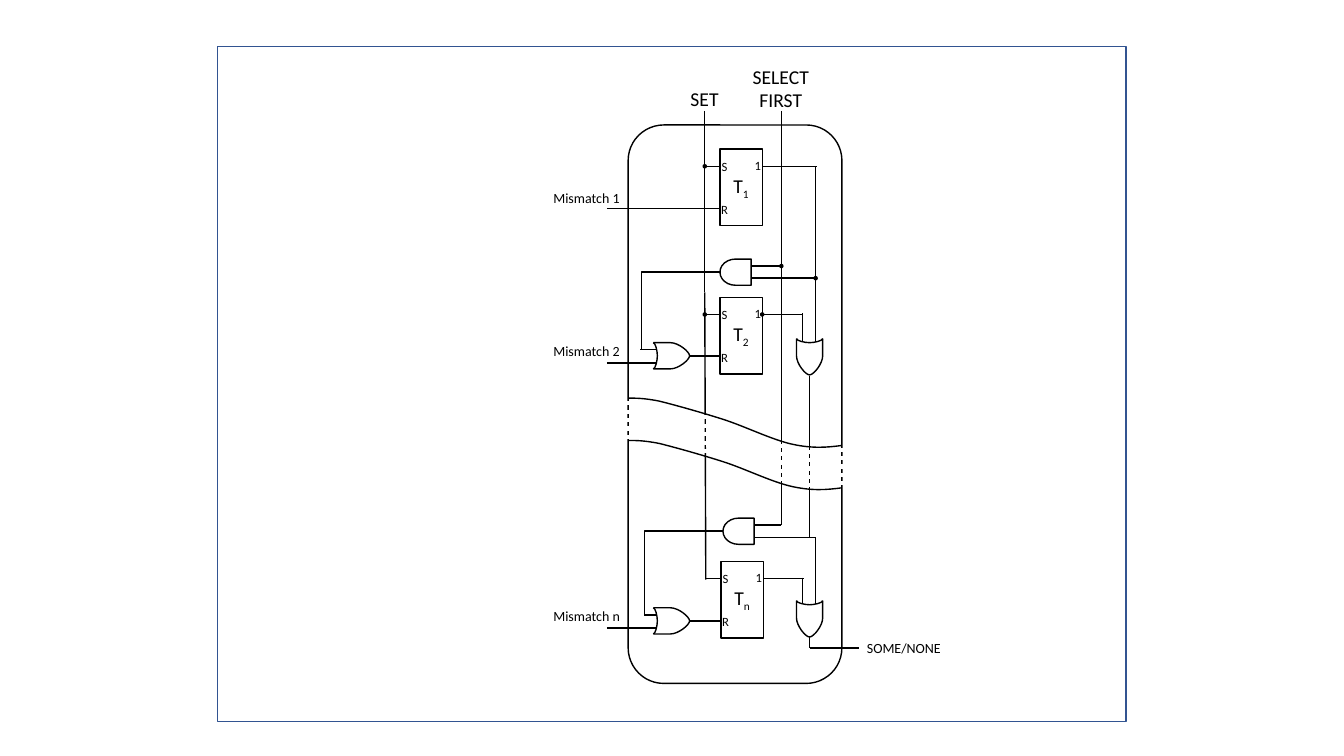
from lxml.etree import SubElement
from pptx import Presentation
from pptx.dml.color import RGBColor
from pptx.enum.dml import MSO_LINE
from pptx.enum.shapes import MSO_CONNECTOR, MSO_SHAPE
from pptx.enum.text import MSO_ANCHOR, MSO_AUTO_SIZE, PP_ALIGN
from pptx.oxml.ns import qn
from pptx.util import Inches, Pt


def outline(sp, color="000000", width=1):
    sp.line.color.rgb = RGBColor.from_string(color)
    sp.line.width = Pt(width)
    if hasattr(sp, "begin_x"):
        SubElement(sp.element.spPr, qn("a:effectLst"))
    else:
        sp.shadow.inherit = False
        sp.fill.background()


def draw_curve(shapes, kinds, points):
    pts = [(Inches(x), Inches(y)) for x, y in points]
    fb = shapes.build_freeform(*pts[0])
    fb.add_line_segments(pts[1:], close=False)
    sp = fb.convert_to_shape()
    segments = iter(list(sp.element.iter(qn("a:lnTo"))))
    for kind in kinds:
        first = next(segments)
        if kind == "C":
            first.tag = qn("a:cubicBezTo")
            for extra in (next(segments), next(segments)):
                first.append(extra[0])
                extra.getparent().remove(extra)
    outline(sp)


prs = Presentation()
prs.slide_width, prs.slide_height = Inches(13.33), Inches(7.5)
s = prs.slides.add_slide(prs.slide_layouts[6])

flip_flops = [("1", 7.14, 1.48), ("2", 7.14, 2.95), ("n", 7.15, 5.57)]
and_gates = [(7.14, 2.57), (7.17, 5.14)]
set_x, select_x, chain_x, carry_x = 6.99, 7.75, 8.03, 8.09

shapes = [
    (MSO_SHAPE.RECTANGLE, 2.16, 0.46, 9.01, 6.7, 0, "325491"),
    (MSO_SHAPE.ROUNDED_RECTANGLE, 4.52, 2.95, 5.54, 2.12, 90, "000000"),
]
for x, y in and_gates:
    shapes.append((MSO_SHAPE.FLOWCHART_DELAY, x, y, 0.31, 0.26, 180, "000000"))
for kind, x, y, w, h, angle, color in shapes:
    sp = s.shapes.add_shape(kind, Inches(x), Inches(y), Inches(w), Inches(h))
    sp.rotation = angle
    outline(sp, color)

wires = [
    (set_x, 1.1, set_x, 2.9), (set_x, 2.9, 7, 5.75),
    (select_x, 1.1, select_x, 5.21),
    (carry_x, 1.65, carry_x, 3.39), (carry_x, 5.34, carry_x, 5.99),
    (7.96, 3.11, 7.96, 3.39), (7.96, 5.73, 7.96, 5.99),
    (chain_x, 3.73, chain_x, 5.33), (chain_x, 6.32, chain_x, 6.43),
    (chain_x, 6.43, 8.52, 6.43), (6.02, 2.07, 7.14, 2.07),
    (8.1, 1.65, 7.56, 1.65), (7.96, 3.12, 7.56, 3.12), (7.97, 5.74, 7.58, 5.74),
]
for number, x, y in flip_flops:
    wires.append((x, y + 0.17, set_x, y + 0.17))
for x, y in and_gates:
    wires += [(select_x, y + 0.07, x + 0.31, y + 0.07),
              (carry_x, y + 0.19, x + 0.31, y + 0.19)]
for x, y in [(6.35, 3.53), (6.39, 6.16)]:
    wires += [(6.02, y + 0.07, 6.51, y + 0.07), (x, y - 0.06, 6.51, y - 0.06),
              (6.84, y, 7.15, y)]
for x1, y1, x2, y2 in wires:
    c = s.shapes.add_connector(MSO_CONNECTOR.STRAIGHT,
                               Inches(x1), Inches(y1), Inches(x2), Inches(y2))
    outline(c)

for x1, y1, x2, y2 in [(7.15, 2.7, 6.36, 3.46), (7.17, 5.27, 6.39, 6.1)]:
    c = s.shapes.add_connector(MSO_CONNECTOR.ELBOW,
                               Inches(x1), Inches(y1), Inches(x2), Inches(y2))
    outline(c)
    av = c.element.spPr.find(qn("a:prstGeom")).find(qn("a:avLst"))
    SubElement(av, qn("a:gd"), name="adj1", fmla="val 100000")

for x, y in [(6.23, 3.98), (7, 4.12), (select_x, 4.4), (chain_x, 4.46), (8.35, 4.44)]:
    c = s.shapes.add_connector(MSO_CONNECTOR.STRAIGHT,
                               Inches(x), Inches(y), Inches(x), Inches(y + 0.41))
    outline(c, "FFFFFF", 3)
    c.line.dash_style = MSO_LINE.ROUND_DOT

wave = [(8.35, 4.42), (8.2, 4.44), (8.06, 4.45), (7.87, 4.41),
        (7.67, 4.37), (7.39, 4.23), (7.17, 4.16),
        (6.95, 4.09), (6.7, 4.02), (6.54, 3.98),
        (6.39, 3.95), (6.31, 3.95), (6.23, 3.95)]
for drop in (0, 0.42):
    draw_curve(s.shapes, "CCCC", [(x, y + drop) for x, y in wave])

gate_front = [(0, -0.13), (0.17, -0.13), (0.25, -0.13), (0.36, -0.04), (0.36, 0),
              (0.36, 0.04), (0.25, 0.13), (0.17, 0.13), (0, 0.13)]
gate_back = [(0, 0.13), (0.02, 0.13), (0.04, 0.05), (0.04, 0),
             (0.04, -0.05), (0.02, -0.13), (0, -0.13)]
for kinds, part in [("LCCL", gate_front), ("CC", gate_back)]:
    for y in (3.53, 6.16):
        draw_curve(s.shapes, kinds, [(6.48 + u, y + v) for u, v in part])
    for y in (3.36, 5.96):
        draw_curve(s.shapes, kinds, [(chain_x - v, y + u) for u, v in part])

for x, y in [(set_x, 1.65), (set_x, 3.12), (7.56, 3.12), (select_x, 2.64), (carry_x, 2.76)]:
    dot = s.shapes.add_shape(MSO_SHAPE.OVAL, Inches(x - 0.015), Inches(y - 0.015),
                             Inches(0.03), Inches(0.03))
    outline(dot)
    dot.fill.solid()
    dot.fill.fore_color.rgb = RGBColor.from_string("000000")

texts = []
for number, x, y in flip_flops:
    box = s.shapes.add_shape(MSO_SHAPE.FLOWCHART_PROCESS, Inches(x), Inches(y),
                             Inches(0.42), Inches(0.76))
    outline(box)
    texts.append((box, [["T", number]], 14, PP_ALIGN.CENTER))
    for pin, dx, dy in [("S", 0, 0.12), ("R", 0, 0.55), ("1", 0.33, 0.11)]:
        tb = s.shapes.add_textbox(Inches(x + dx), Inches(y + dy), Inches(0.09), Inches(0.1))
        texts.append((tb, [[pin]], 9, PP_ALIGN.CENTER))
for tb, lines, size, align in texts:
    tf = tb.text_frame
    tf.margin_left = tf.margin_right = tf.margin_top = tf.margin_bottom = 0
    tf.vertical_anchor = MSO_ANCHOR.MIDDLE

labels = [
    (["SET"], 6.75, 0.81, 0.48, 0.34, 14, PP_ALIGN.LEFT),
    (["SELECT", "FIRST"], 7.36, 0.59, 0.77, 0.57, 14, PP_ALIGN.CENTER),
    (["Mismatch 1"], 5.39, 1.83, 0.87, 0.27, 10, PP_ALIGN.LEFT),
    (["Mismatch 2"], 5.39, 3.35, 0.87, 0.27, 10, PP_ALIGN.LEFT),
    (["Mismatch n"], 5.39, 5.98, 0.87, 0.27, 10, PP_ALIGN.LEFT),
    (["SOME/NONE"], 8.5, 6.3, 0.95, 0.27, 10, PP_ALIGN.LEFT),
]
for lines, x, y, w, h, size, align in labels:
    tb = s.shapes.add_textbox(Inches(x), Inches(y), Inches(w), Inches(h))
    tb.text_frame.auto_size = MSO_AUTO_SIZE.SHAPE_TO_FIT_TEXT
    texts.append((tb, [[line] for line in lines], size, align))

for tb, lines, size, align in texts:
    tf = tb.text_frame
    tf.word_wrap = False
    for i, runs in enumerate(lines):
        p = tf.paragraphs[0] if i == 0 else tf.add_paragraph()
        p.alignment = align
        for j, text in enumerate(runs):
            r = p.add_run()
            r.text = text
            r.font.name = "Calibri"
            r.font.size = Pt(size)
            r.font.color.rgb = RGBColor.from_string("000000")
            if j == 1:
                r._r.get_or_add_rPr().set("baseline", "-25000")

prs.save("out.pptx")
